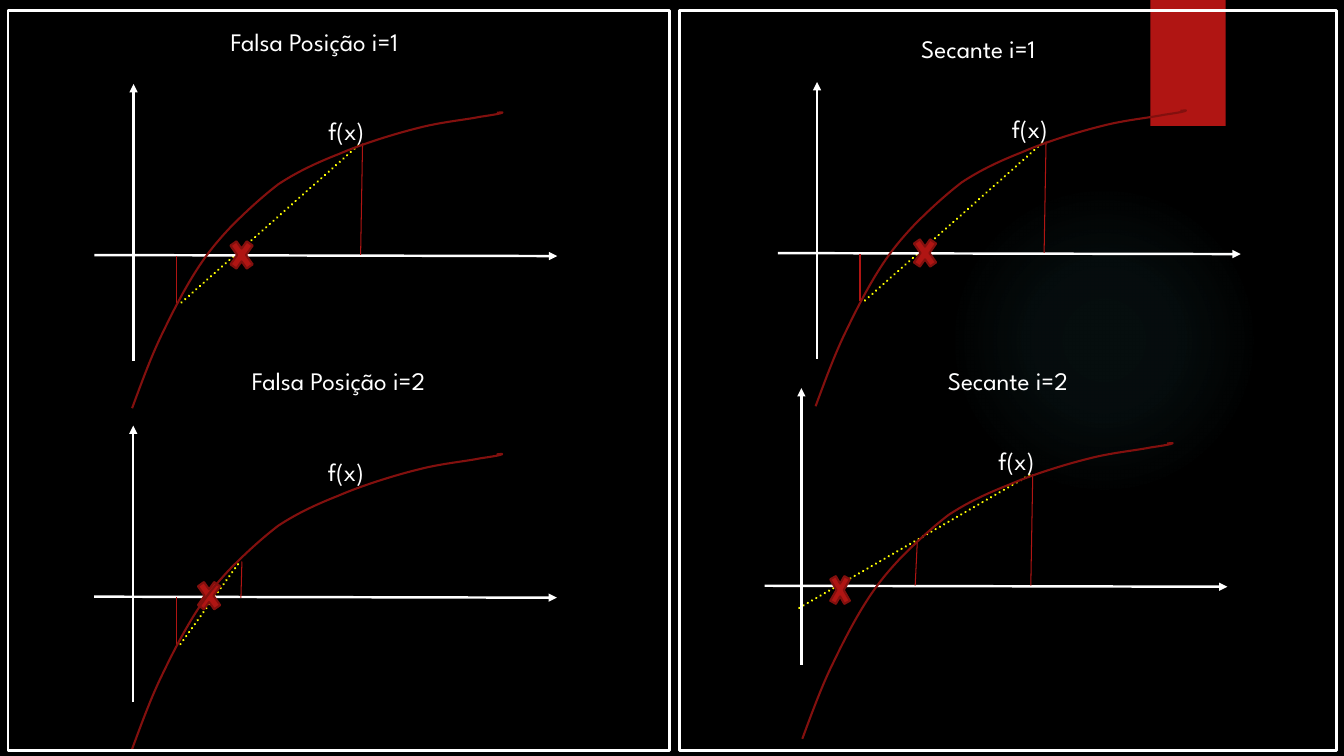
from dataclasses import dataclass

from lxml import etree
from pptx import Presentation
from pptx import util as u
from pptx.dml.color import RGBColor
from pptx.enum import dml, shapes, text
from pptx.oxml import parse_xml
from pptx.oxml.ns import nsdecls, qn

Pt = u.Pt


@dataclass(frozen=True)
class Theme:
    background: str = "000000"
    ink: str = "FFFFFF"
    red: str = "B01513"
    dark_red: str = "82100E"
    yellow: str = "FFFF00"
    glow: str = "50B9C1"
    font: str = "League Spartan"
    size: float = 18
    thin: float = 0.75
    medium: float = 1.5
    thick: float = 1.75


# Start of f(x), then its Bézier segments (two handles and an end), in points
CURVE_START = (0, 211)
CURVE = [
    ((7.2, 191.5), (14.4, 172), (22.3, 156.2)),
    ((30.2, 139.7), (38.2, 124.6), (46.1, 112.3)),
    ((54, 100), (61.2, 91.4), (70.6, 81.4)),
    ((80.6, 71.3), (92.2, 60.5), (104.4, 51.1)),
    ((117.4, 42.5), (131, 36), (147.6, 29.5)),
    ((164.2, 22.3), (187.2, 15.1), (204.5, 10.8)),
    ((221, 6.5), (238.3, 5), (248.4, 2.9)),
    ((258.5, 1.4), (262.8, 0.7), (264.2, 0)),
    ((266.4, -0.7), (260.6, 0), (260.6, 0)),
]


def write(frame, words, *, font, size, color, align=None):
    para = frame.paragraphs[0]
    para.alignment = align
    span = para.add_run()
    span.text = words
    span.font.name = font
    span.font.size = Pt(size)
    span.font.color.rgb = RGBColor.from_string(color)


class Painter:
    def __init__(self, slide, theme):
        self.slide = slide
        self.theme = theme

    def outline(self, item, color, width):
        item.line.color.rgb = RGBColor.from_string(color)
        item.line.width = Pt(width)

    def words(self, frame, words, align=None):
        theme = self.theme
        write(frame, words, font=theme.font, size=theme.size, color=theme.ink, align=align)

    def shape(self, kind, left, top, width, height, fill=None, line=None, weight=0):
        box = self.slide.shapes.add_shape(kind, Pt(left), Pt(top), Pt(width), Pt(height))
        box.shadow.inherit = False
        if fill:
            box.fill.solid()
            box.fill.fore_color.rgb = RGBColor.from_string(fill)
        else:
            box.fill.background()
        if line:
            self.outline(box, line, weight)
        else:
            box.line.fill.background()
        return box

    def glow(self, left, top, size):
        box = self.shape(shapes.MSO_SHAPE.OVAL, left, top, size, size)
        stops = "".join(
            f'<a:gs pos="{place}000"><a:srgbClr val="{self.theme.glow}">'
            f'<a:alpha val="{alpha}000"/></a:srgbClr></a:gs>'
            for place, alpha in ((0, 7), (36, 6), (69, 0)))
        gradient = parse_xml(
            f'<a:gradFill {nsdecls("a")}><a:gsLst>{stops}</a:gsLst><a:path path="circle">'
            '<a:fillToRect l="50000" t="50000" r="50000" b="50000"/></a:path></a:gradFill>')
        properties = box.element.spPr
        properties.replace(properties.find(qn("a:noFill")), gradient)

    def ribbon(self, left, top, width, height):
        box = self.shape(shapes.MSO_SHAPE.RECTANGLE, left, top, width, height, self.theme.red)
        box.element.spPr.find(qn("a:effectLst")).append(parse_xml(
            f'<a:outerShdw {nsdecls("a")} blurRad="{Pt(3)}" dist="{Pt(2)}" dir="5400000">'
            '<a:srgbClr val="000000"><a:alpha val="45000"/></a:srgbClr></a:outerShdw>'))

    def line(self, start, end, color, width, dotted=False, arrow=False):
        link = self.slide.shapes.add_connector(
            shapes.MSO_CONNECTOR.STRAIGHT, *(Pt(value) for value in (*start, *end)))
        self.outline(link, color, width)
        stroke = link.element.spPr.find(qn("a:ln"))
        if dotted:
            link.line.dash_style = dml.MSO_LINE.ROUND_DOT
            stroke.set("cap", "rnd")
        if arrow:
            etree.SubElement(stroke, qn("a:tailEnd"), type="triangle")
        etree.SubElement(link.element.spPr, qn("a:effectLst"))

    def label(self, words, left, top, width, align=None):
        box = self.slide.shapes.add_textbox(Pt(left), Pt(top), Pt(width), Pt(29))
        box.text_frame.word_wrap = False
        box.text_frame.auto_size = text.MSO_AUTO_SIZE.SHAPE_TO_FIT_TEXT
        self.words(box.text_frame, words, align)

    def curve(self, left, top):
        def place(x, y):
            return Pt(left + x), Pt(top + y)

        builder = self.slide.shapes.build_freeform(*place(*CURVE_START))
        builder.add_line_segments([place(*segment[-1]) for segment in CURVE], close=False)
        graph = builder.convert_to_shape()
        # Bend each straight segment into its Bézier form
        straights = list(graph.element.spPr.iter(qn("a:lnTo")))
        for straight, segment in zip(straights, CURVE):
            bend = etree.Element(qn("a:cubicBezTo"))
            for x, y in segment:
                etree.SubElement(bend, qn("a:pt"), x=str(Pt(x)), y=str(Pt(y)))
            straight.getparent().replace(straight, bend)
        graph.shadow.inherit = False
        graph.fill.background()
        self.outline(graph, self.theme.dark_red, self.theme.medium)

    def frame(self, left, width, words):
        box = self.shape(shapes.MSO_SHAPE.RECTANGLE, left, 7.6, width, 528.5,
                         line=self.theme.ink, weight=self.theme.thick)
        box.text_frame.vertical_anchor = text.MSO_ANCHOR.MIDDLE
        self.words(box.text_frame, words, text.PP_ALIGN.CENTER)

    def plot(self, left, top, secant, cross, drops, axis_x=1.0, axis_top=-20.6):
        """Draw one graph; all lengths count from the top left of its curve."""
        theme = self.theme

        def line(start, end, *style, **options):
            self.line((left + start[0], top + start[1]),
                      (left + end[0], top + end[1]), *style, **options)

        # Secant and axes
        line(*secant, theme.yellow, theme.thick, dotted=True)
        line((axis_x, axis_top + 197.6), (axis_x, axis_top), theme.ink, theme.thick, arrow=True)
        line((-27, 101.6), (303.6, 102.3), theme.ink, theme.thick, arrow=True)
        # New estimate of the root
        x, y, width, height = cross
        self.shape(shapes.MSO_SHAPE.MATH_MULTIPLY, left + x, top + y, width, height,
                   theme.red, theme.dark_red, theme.medium)
        # Ends of the interval
        for start, end in drops:
            line(start, end, theme.red, theme.thin)
        # Function
        self.label("f(x)", left + 133, top - 2, 42.5)
        self.curve(left, top)


def main():
    deck = Presentation()
    deck.slide_width, deck.slide_height = Pt(960), Pt(540)
    slide = deck.slides.add_slide(deck.slide_layouts[6])
    theme = Theme()
    slide.background.fill.solid()
    slide.background.fill.fore_color.rgb = RGBColor.from_string(theme.background)
    painter = Painter(slide, theme)

    # Backdrop
    painter.glow(677.5, 131.8, 221.8)
    painter.ribbon(821.8, 0, 53.7, 90)

    # Graphs: both methods share the first step
    low_drop = ((31.7, 102.2), (31.7, 136))
    high_drop = ((164.6, 21.8), (163.2, 101.5))
    first_step = dict(secant=((35.3, 135.4), (163.4, 21.6)),
                      cross=(67, 85.7, 22.3, 31.7), drops=(low_drop, high_drop))
    painter.plot(94.4, 80.6, **first_step)
    painter.plot(573.1, 316.8, secant=((-2.2, 117.4), (162.7, 22.3)),
                 cross=(17.3, 87.8, 19.4, 33.8),
                 drops=(high_drop, ((82.1, 70.6), (80.6, 101.5))),
                 axis_x=-0.7, axis_top=-39.6)
    painter.plot(94.2, 324.6, secant=((34.7, 135.5), (77.2, 76.5)),
                 cross=(44, 85.1, 22.3, 31.7),
                 drops=(low_drop, ((78.6, 76.5), (77.9, 102.4))))
    painter.plot(582.6, 79.2, **first_step)

    # Frames and titles
    painter.frame(5.6, 472.5, "Falsa Posição i=2")
    painter.label("Falsa Posição i=1", 157.7, 15.5, 167.8)
    painter.frame(485.3, 469.4, "Secante i=2")
    painter.label("Secante i=1", 639.4, 20.2, 118.8, text.PP_ALIGN.CENTER)

    deck.save("out.pptx")


if __name__ == "__main__":
    main()
